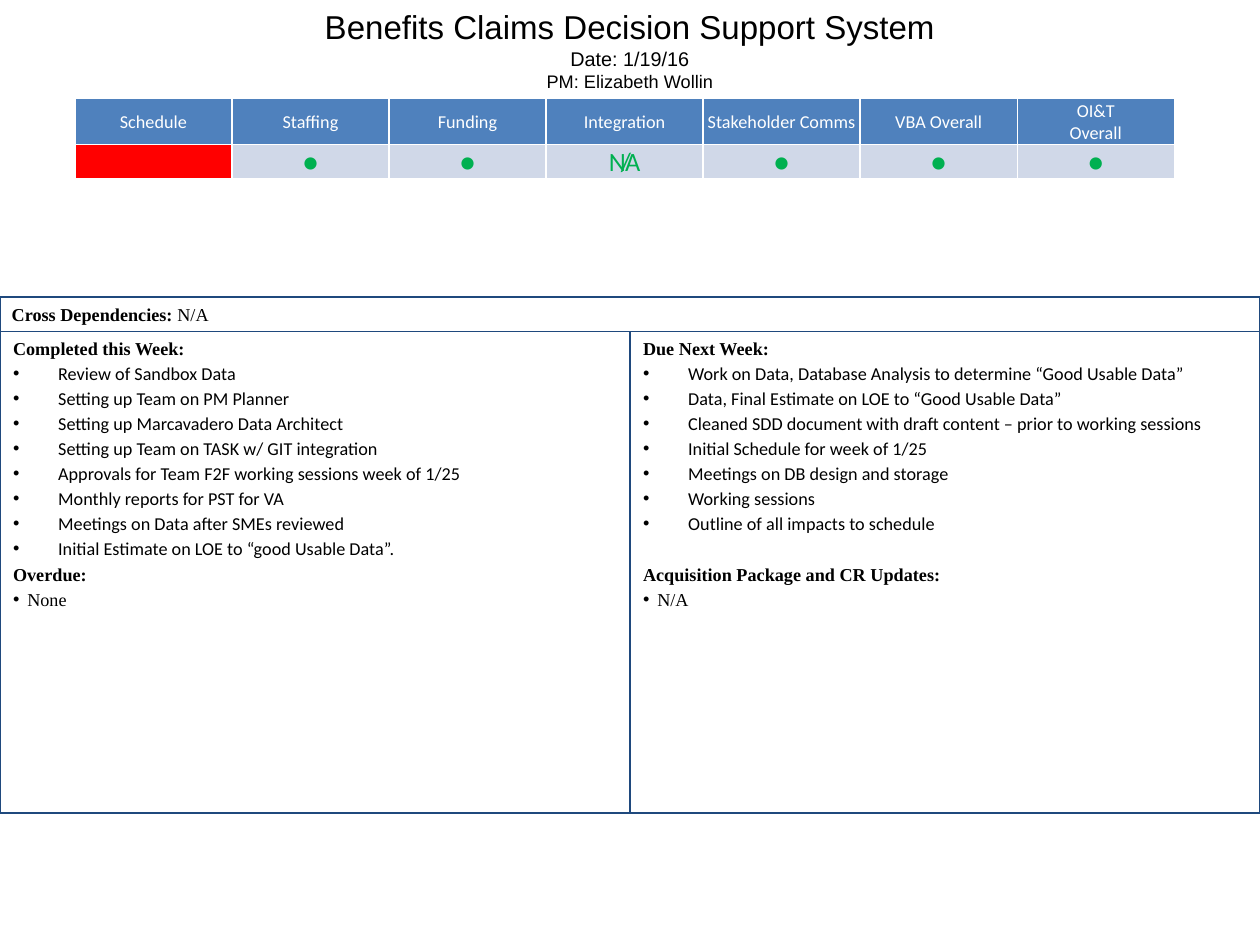
from lxml.etree import SubElement
from pptx import Presentation
from pptx.dml.color import RGBColor
from pptx.enum.shapes import MSO_SHAPE as SHAPE
from pptx.enum.text import MSO_ANCHOR as ANCHOR, PP_ALIGN as ALIGN
from pptx.oxml.ns import qn
from pptx.util import Inches, Pt

COLORS = {
    "black": "000000", "white": "FFFFFF", "navy": "1F497D", "blue": "4F81BD",
    "pale": "D0D8E8", "red": "FF0000", "green": "00B050",
}
SERIF, SANS, TITLE_FONT = "Times New Roman", "Calibri", "Arial"
WIDTH, HEIGHT = 10.6, 8
PANEL_TOP, PANEL_HEIGHT = 2.79, 4.05
BLANK_LINE = 15.2

TITLE = [("Benefits Claims Decision Support System", 20),
         ("Date: 1/19/16", 12),
         ("PM: Elizabeth Wollin", 11)]
STATUS = [("Schedule", ""), ("Staffing", "●"), ("Funding", "●"),
          ("Integration", "N/A"), ("Stakeholder Comms", "●"),
          ("VBA Overall", "●"), ("OI&T\nOverall", "●")]
COMPLETED = ["Review of Sandbox Data",
             "Setting up Team on PM Planner",
             "Setting up Marcavadero Data Architect",
             "Setting up Team on TASK w/ GIT integration",
             "Approvals for Team F2F working sessions week of 1/25",
             "Monthly reports for PST for VA",
             "Meetings on Data after SMEs reviewed",
             "Initial Estimate on LOE to “good Usable Data”."]
DUE_NEXT = ["Work on Data, Database Analysis to determine “Good Usable Data”",
            "Data, Final Estimate on LOE to “Good Usable Data”",
            "Cleaned SDD document with draft content – prior to working sessions",
            "Initial Schedule for week of 1/25",
            "Meetings on DB design and storage",
            "Working sessions",
            "Outline of all impacts to schedule"]


def color(name):
    return RGBColor.from_string(COLORS[name])


def style_run(r, font, size=11, bold=False, fill="black"):
    r.font.name = font
    r.font.size = Pt(size)
    r.font.bold = bold
    r.font.color.rgb = color(fill)


def add_bullet(p, indent):
    pPr = p._p.get_or_add_pPr()
    pPr.set("marL", str(Inches(indent)))
    pPr.set("indent", str(-Inches(indent)))
    SubElement(pPr, qn("a:buFont")).set("typeface", "Arial")
    SubElement(pPr, qn("a:buChar")).set("char", "•")


def add_line(tf, text, font=SERIF, bold=False, before=0, indent=0, spacing=None):
    p = tf.paragraphs[0] if not tf.text else tf.add_paragraph()
    p.text = text
    p.alignment = ALIGN.LEFT
    p.space_before = Pt(before)
    if spacing:
        p.line_spacing = spacing
    if indent:
        add_bullet(p, indent)
    for r in p.runs:
        style_run(r, font, bold=bold)
    return p


def add_frame(slide, left, top, width, height, inset):
    sp = slide.shapes.add_shape(SHAPE.RECTANGLE, Inches(left), Inches(top),
                                Inches(width), Inches(height))
    sp.shadow.inherit = False
    sp.fill.background()
    sp.line.color.rgb = color("navy")
    sp.line.width = Pt(1)
    tf = sp.text_frame
    tf.word_wrap = True
    tf.vertical_anchor = ANCHOR.TOP
    tf.margin_left = tf.margin_right = Inches(inset)
    return tf


def add_panel(slide, left, heading, items, subheading, note, gap=0):
    tf = add_frame(slide, left, PANEL_TOP, WIDTH / 2, PANEL_HEIGHT, 0.11)
    add_line(tf, heading, bold=True)
    for item in items:
        add_line(tf, item, font=SANS, indent=0.38, spacing=1.15)
    add_line(tf, subheading, bold=True, before=2.2 + gap)
    add_line(tf, note, before=2.2, indent=0.12)


def add_title(slide):
    box = slide.shapes.add_textbox(0, 0, Inches(WIDTH), Inches(0.83))
    tf = box.text_frame
    tf.word_wrap = True
    tf.vertical_anchor = ANCHOR.MIDDLE
    p = tf.paragraphs[0]
    p.text = "\v".join(text for text, _ in TITLE)
    p.alignment = ALIGN.CENTER
    for r, (_, size) in zip(p.runs, TITLE):
        style_run(r, TITLE_FONT, size)


def fill_cell(cell, text, background, size, fill, tracking=0):
    cell.fill.solid()
    cell.fill.fore_color.rgb = color(background)
    cell.vertical_anchor = ANCHOR.MIDDLE
    cell.margin_left = cell.margin_right = cell.margin_top = Inches(0.01)
    cell.margin_bottom = 0
    cell.text_frame.text = text
    for p in cell.text_frame.paragraphs:
        p.alignment = ALIGN.CENTER
        if not text:
            p._p.get_or_add_endParaRPr().set("sz", str(size * 50))
        for r in p.runs:
            style_run(r, SANS, size, fill=fill)
            if tracking:
                r._r.get_or_add_rPr().set("spc", str(tracking * 100))


def add_status_table(slide):
    table = slide.shapes.add_table(2, len(STATUS), Inches(0.63), Inches(0.83),
                                   Inches(9.25), Inches(0.65)).table
    table.horz_banding = False
    for row, height in zip(table.rows, (0.38, 0.27)):
        row.height = Inches(height)
    for i, (heading, status) in enumerate(STATUS):
        fill_cell(table.cell(0, i), heading, "blue", 11, "white")
        fill_cell(table.cell(1, i), status, "pale" if status else "red",
                  16, "green", tracking=-3)


def add_dependencies(slide):
    tf = add_frame(slide, 0, 2.5, WIDTH, 0.29, 0.1)
    p = add_line(tf, "Cross Dependencies: ", bold=True)
    r = p.add_run()
    r.text = "N/A"
    style_run(r, SERIF)


def main():
    prs = Presentation()
    prs.slide_width, prs.slide_height = Inches(WIDTH), Inches(HEIGHT)
    slide = prs.slides.add_slide(prs.slide_layouts[6])
    add_panel(slide, 0, "Completed this Week:", COMPLETED, "Overdue:", "None")
    add_panel(slide, WIDTH / 2, "Due Next Week:", DUE_NEXT,
              "Acquisition Package and CR Updates:", "N/A", gap=BLANK_LINE)
    add_dependencies(slide)
    add_status_table(slide)
    add_title(slide)
    prs.save("out.pptx")


if __name__ == "__main__":
    main()
